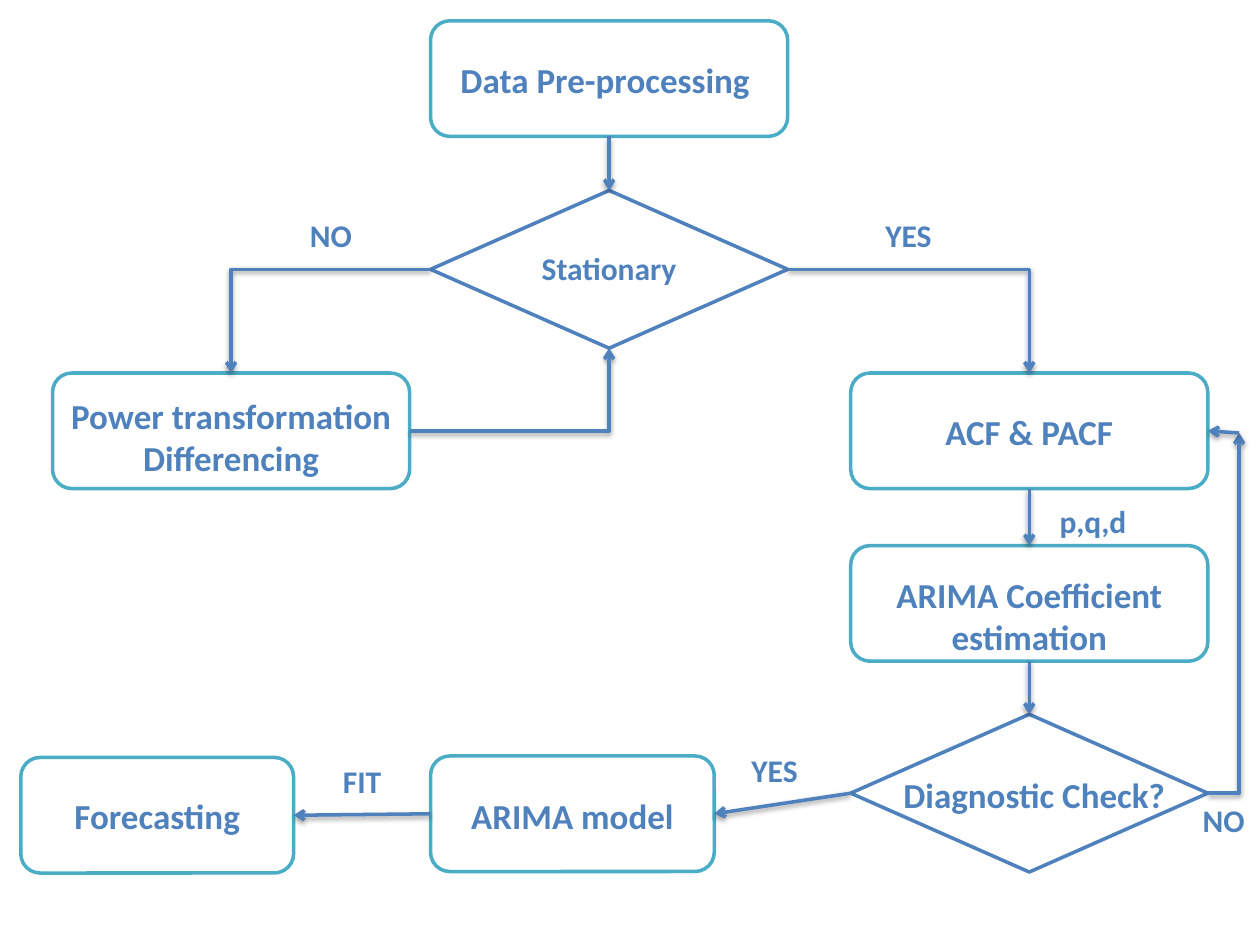
from lxml import etree
from pptx import Presentation
from pptx import util as u
from pptx.dml.color import RGBColor
from pptx.enum import shapes, text
from pptx.oxml import ns

BLUE = RGBColor(0x4F, 0x81, 0xBD)
TEAL = RGBColor(0x4B, 0xAC, 0xC6)
WHITE = RGBColor(0xFF, 0xFF, 0xFF)

BOX = shapes.MSO_SHAPE.ROUNDED_RECTANGLE
DIAMOND = shapes.MSO_SHAPE.DIAMOND
CENTER, LEFT_ALIGN = text.PP_ALIGN.CENTER, text.PP_ALIGN.LEFT

# Connection sites shared by boxes and diamonds
TOP, LEFT, BOTTOM, RIGHT = range(4)

# Node sizes and columns, in cm
W, BOX_H, DIAMOND_H = 7.2, 2.33, 3.18
COL_LEFT, COL_MID, COL_RIGHT = 1.06, 8.68, 17.15


class Flowchart:
    font = "Calibri"
    line_width = u.Pt(2)

    def __init__(self, slide):
        self.s = slide

    def label(self, words, x, y, w, size=18, lines=1, align=CENTER):
        height = 0.25 + lines * size * 0.043
        tb = self.s.shapes.add_textbox(u.Cm(x), u.Cm(y), u.Cm(w), u.Cm(height))
        tf = tb.text_frame
        tf.word_wrap = True
        tf.auto_size = text.MSO_AUTO_SIZE.SHAPE_TO_FIT_TEXT
        p = tf.paragraphs[0]
        p.text = words
        p.alignment = align
        p.font.name = self.font
        p.font.size = u.Pt(size)
        p.font.bold = True
        p.font.color.rgb = BLUE

    def node(self, kind, words, x, y, text_y, w=W, size=20, lines=1, shift=0):
        h, color = (BOX_H, TEAL) if kind == BOX else (DIAMOND_H, BLUE)
        sp = self.s.shapes.add_shape(kind, u.Cm(x), u.Cm(y), u.Cm(w), u.Cm(h))
        sp.shadow.inherit = False
        sp.fill.solid()
        sp.fill.fore_color.rgb = WHITE
        sp.line.color.rgb = color
        sp.line.width = self.line_width
        self.label(words, x + shift, text_y, w, size, lines)
        return sp

    def arrow(self, start, end, bent=False):
        """Join two ends, each a (shape, site) pair or an (x, y) point in EMU."""
        kind = shapes.MSO_CONNECTOR.ELBOW if bent else shapes.MSO_CONNECTOR.STRAIGHT
        c = self.s.shapes.add_connector(kind, 0, 0, 0, 0)
        if isinstance(start[0], int):
            c.begin_x, c.begin_y = start
        else:
            c.begin_connect(*start)
        if isinstance(end[0], int):
            c.end_x, c.end_y = end
        else:
            c.end_connect(*end)
        c.line.color.rgb = BLUE
        c.line.width = self.line_width

        # Single corner, arrowhead and soft shadow
        props = c._element.spPr
        if bent:
            props.find(ns.qn("a:prstGeom")).set("prst", "bentConnector2")
        etree.SubElement(c.line._get_or_add_ln(), ns.qn("a:tailEnd"), type="arrow")
        effects = etree.SubElement(props, ns.qn("a:effectLst"))
        shadow = etree.SubElement(
            effects, ns.qn("a:outerShdw"), blurRad=str(u.Pt(3.1)),
            dist=str(u.Pt(1.6)), dir="5400000", rotWithShape="0")
        black = etree.SubElement(shadow, ns.qn("a:srgbClr"), val="000000")
        etree.SubElement(black, ns.qn("a:alpha"), val="38000")


def main():
    prs = Presentation()
    prs.slide_width, prs.slide_height = u.Cm(25.4), u.Cm(19.05)
    chart = Flowchart(prs.slides.add_slide(prs.slide_layouts[6]))

    # Steps and decisions
    data = chart.node(BOX, "Data Pre-processing ", COL_MID, 0.42, 1.06)
    stationary = chart.node(DIAMOND, "Stationary", COL_MID, 3.84, 4.9, size=18)
    power = chart.node(BOX, "Power transformation Differencing",
                       COL_LEFT, 7.52, 7.82, lines=2)
    acf = chart.node(BOX, "ACF & PACF", COL_RIGHT, 7.52, 8.15)
    coefficient = chart.node(BOX, "ARIMA Coefficient estimation",
                             COL_RIGHT, 11, 11.43, lines=2)
    check = chart.node(DIAMOND, "Diagnostic Check?", COL_RIGHT, 14.4, 15.47, shift=0.1)
    model = chart.node(BOX, "ARIMA model", COL_MID, 15.24, 15.9, w=5.72)
    forecast = chart.node(BOX, "Forecasting", 0.42, 15.27, 15.9, w=5.5)

    # Straight flow
    chart.arrow((data, BOTTOM), (stationary, TOP))
    chart.arrow((acf, BOTTOM), (coefficient, TOP))
    chart.arrow((coefficient, BOTTOM), (check, TOP))
    chart.arrow((check, LEFT), (model, RIGHT))
    chart.arrow((model, LEFT), (forecast, RIGHT))

    # Branches and return paths
    chart.arrow((stationary, RIGHT), (acf, TOP), bent=True)
    chart.arrow((stationary, LEFT), (power, TOP), bent=True)
    chart.arrow((power, RIGHT), (stationary, BOTTOM), bent=True)
    corner = (u.Cm(24.98), u.Cm(8.73))
    chart.arrow((check, RIGHT), corner, bent=True)
    chart.arrow(corner, (acf, RIGHT))

    # Branch labels
    chart.label("YES", 15.88, 4.23, 4.87)
    chart.label("NO", 4.66, 4.23, 4.02)
    chart.label("YES", 13.18, 15.01, 4.87)
    chart.label("NO", 22.66, 16.03, 4.02)
    chart.label("FIT", 5.92, 15.24, 2.76)
    chart.label("p,q,d", 21.11, 10, 3.83, align=LEFT_ALIGN)

    prs.save("out.pptx")


if __name__ == "__main__":
    main()
